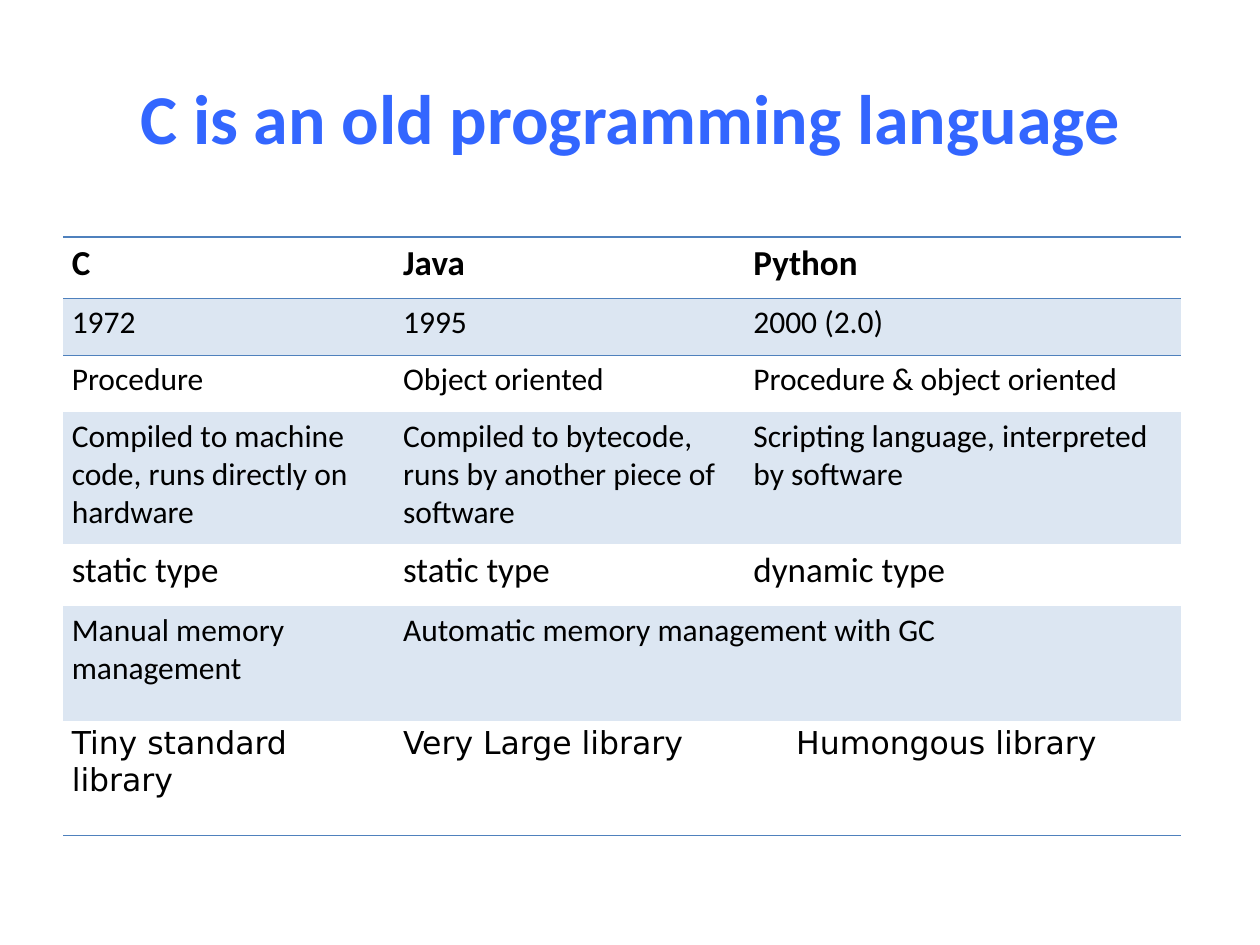
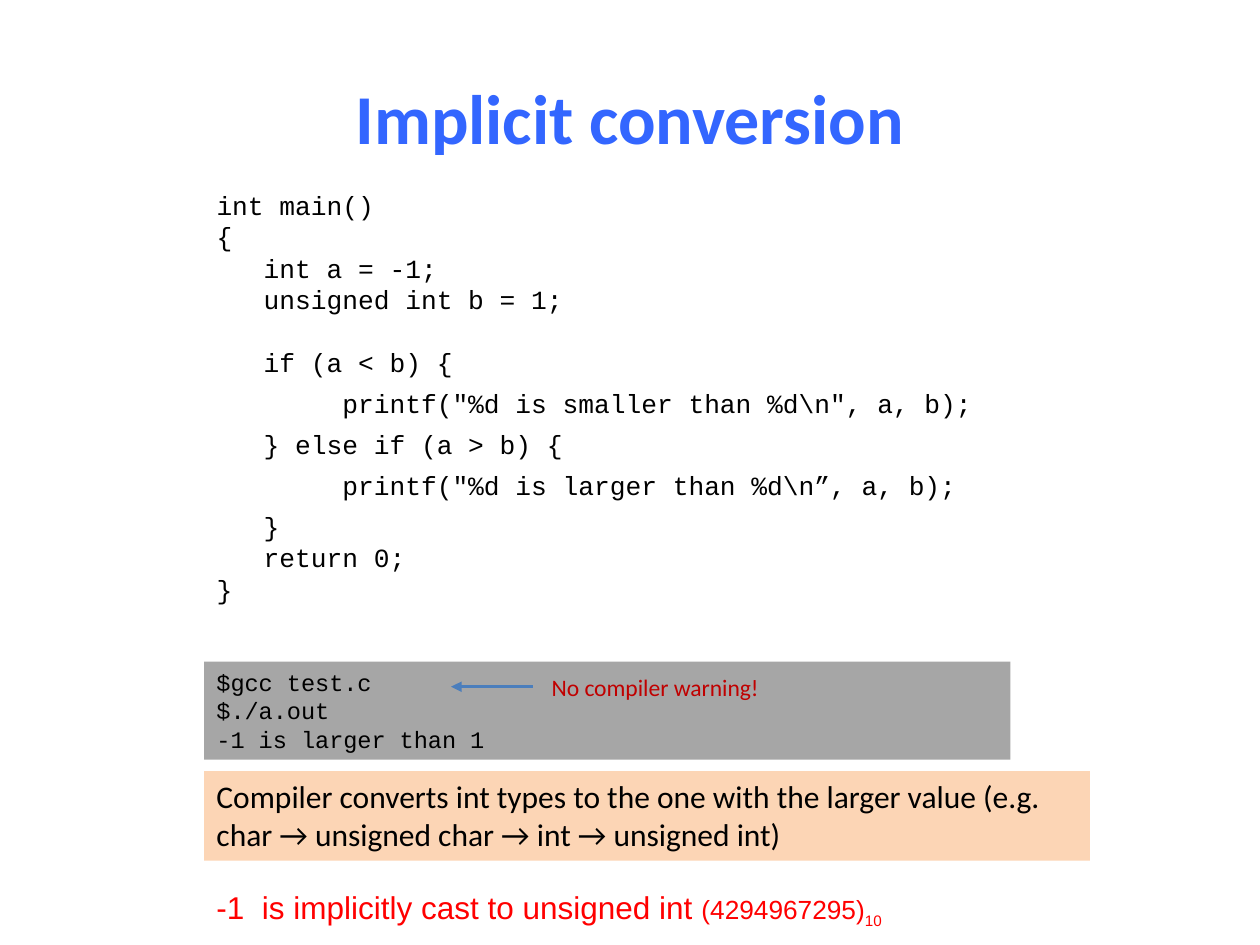
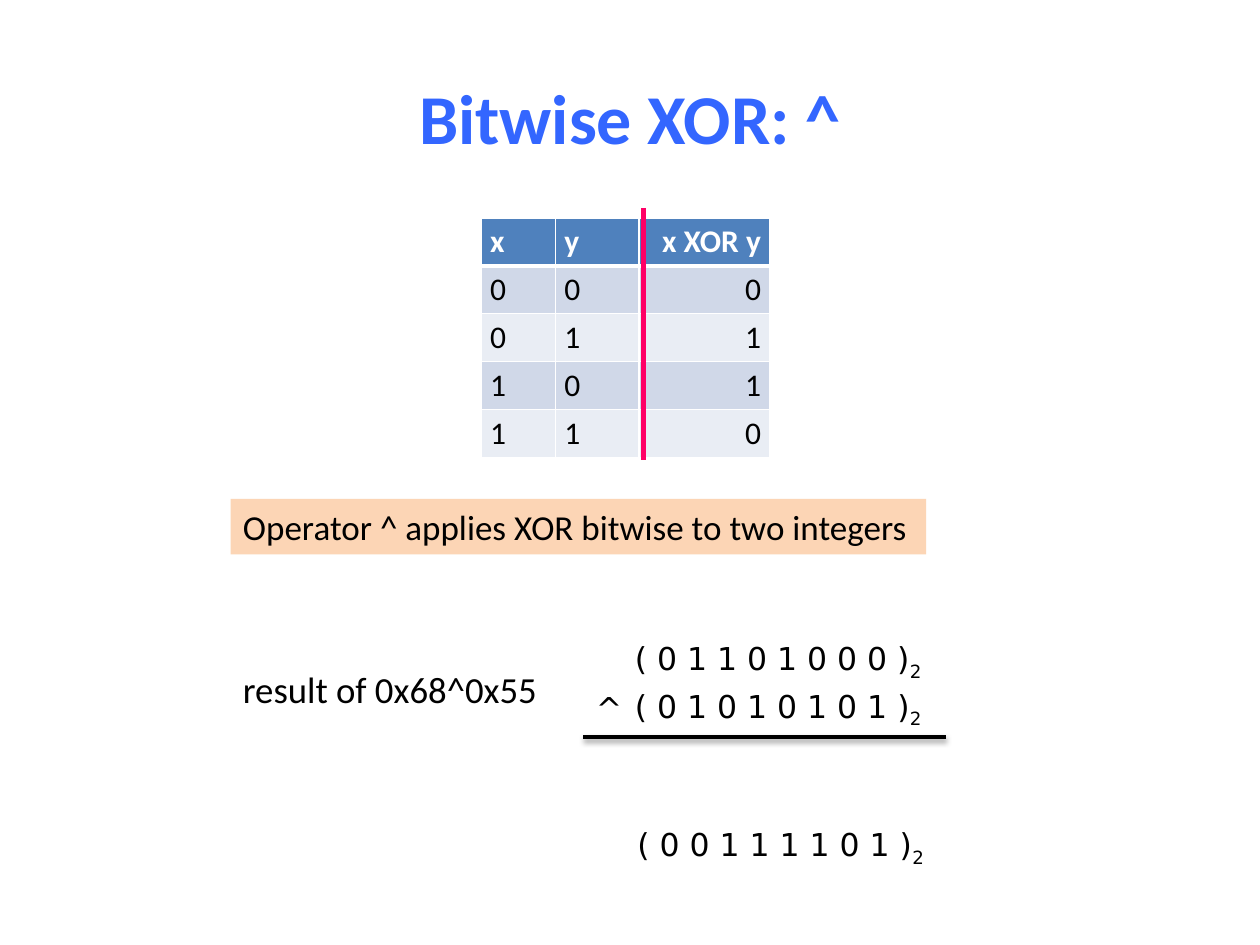
from lxml.etree import SubElement
from pptx import Presentation
from pptx.dml.color import RGBColor
from pptx.enum.shapes import MSO_CONNECTOR, MSO_SHAPE
from pptx.enum.text import MSO_ANCHOR, PP_ALIGN
from pptx.oxml.ns import qn
from pptx.util import Inches, Pt

COLORS = {
    "title": "3366FF", "text": "000000", "white": "FFFFFF", "blue": "4F81BD",
    "pale blue": "DCE6F2", "band dark": "D0D8E8", "band light": "E9EDF4",
    "peach": "FCD5B5", "gray": "A6A6A6", "arrow": "4B7EBC",
    "dark red": "C00000", "red": "FF0000", "pink": "FF0066",
}
PLAIN_TABLE_STYLE = "{2D5ABB26-0587-4C30-8999-92F81FD0307C}"
BODY = {"name": "Calibri", "size": 18, "bold": False, "color": "text"}
TITLE = BODY | {"size": 40, "bold": True, "color": "title"}
CODE = BODY | {"name": "Courier New", "size": 15}
TERMINAL = CODE | {"size": 13.5}
WIDE = BODY | {"name": "DejaVu Sans"}
SUBSCRIPT = {"baseline": -25000}


def write(frame, paragraphs, style):
    """Fill a frame; a paragraph is a string or a list of (text, changes) runs."""
    for index, content in enumerate(paragraphs):
        paragraph = frame.paragraphs[0] if index == 0 else frame.add_paragraph()
        paragraph.alignment = PP_ALIGN.LEFT
        if style["name"] == "Courier New":
            paragraph.line_spacing = Pt(style["size"] * 1.2)
        runs = [(content, {})] if isinstance(content, str) else content
        for text, changes in runs:
            run = paragraph.add_run()
            run.text = text
            for key, value in (style | changes).items():
                if key == "color":
                    run.font.color.rgb = RGBColor.from_string(COLORS[value])
                elif key == "baseline":
                    run._r.get_or_add_rPr().set("baseline", str(value))
                else:
                    setattr(run.font, key, Pt(value) if key == "size" else value)


def add_table(slide, left, top, widths, heights, rows):
    """Rows are (texts, style, fill, borders); None joins a cell to the one before."""
    frame = slide.shapes.add_table(
        len(rows), len(widths), Inches(left), Inches(top),
        Inches(sum(widths)), Inches(sum(heights)))
    table = frame.table
    table.horz_banding = False
    table._tbl.tblPr.find(qn("a:tableStyleId")).text = PLAIN_TABLE_STYLE
    for column, width in zip(table.columns, widths):
        column.width = Inches(width)
    for row_index, (texts, style, fill, borders) in enumerate(rows):
        table.rows[row_index].height = Inches(heights[row_index])
        for column_index, text in enumerate(texts):
            cell = table.cell(row_index, column_index)
            cell.margin_left = cell.margin_right = Inches(0.07)
            cell.margin_top = cell.margin_bottom = Inches(0.04)
            properties = cell._tc.get_or_add_tcPr()
            for side in "LRTB":
                if side in borders:
                    color, width = borders[side]
                    line = SubElement(properties, qn(f"a:ln{side}"), w=str(Pt(width)))
                    solid = SubElement(line, qn("a:solidFill"))
                    SubElement(solid, qn("a:srgbClr"), val=COLORS[color])
            if fill:
                cell.fill.solid()
                cell.fill.fore_color.rgb = RGBColor.from_string(COLORS[fill])
            else:
                cell.fill.background()
            if text is not None:
                write(cell.text_frame, [text], style)
                end = column_index
                while end + 1 < len(texts) and texts[end + 1] is None:
                    end += 1
                if end > column_index:
                    cell.merge(table.cell(row_index, end))
    return table


presentation = Presentation()
presentation.slide_width = Inches(10)
presentation.slide_height = Inches(7.5)

slides = []
for title in ["C is an old programming language", "Implicit conversion", "Bitwise XOR: ^"]:
    slide = presentation.slides.add_slide(presentation.slide_layouts[6])
    box = slide.shapes.add_textbox(Inches(0.5), Inches(0.3), Inches(9), Inches(1.25))
    box.text_frame.word_wrap = True
    box.text_frame.vertical_anchor = MSO_ANCHOR.MIDDLE
    write(box.text_frame, [title], TITLE)
    box.text_frame.paragraphs[0].alignment = PP_ALIGN.CENTER
    slides.append(slide)
language_slide, conversion_slide, xor_slide = slides

# Language comparison
rule = ("blue", 1)
heading = BODY | {"size": 20, "bold": True}
add_table(
    language_slide, 0.5, 1.88, [2.63, 2.78, 0.34, 3.12],
    [0.49, 0.45, 0.45, 1.05, 0.49, 0.91, 0.91],
    [
        (["C", "Java", "Python", None], heading, None, {"T": rule, "B": rule}),
        (["1972", "1995", "2000 (2.0)", None], BODY, "pale blue", {"T": rule}),
        (["Procedure", "Object oriented", "Procedure & object oriented", None],
         BODY, None, {}),
        (["Compiled to machine code, runs directly on hardware",
          "Compiled to bytecode, runs by another piece of software",
          "Scripting language, interpreted by software", None], BODY, "pale blue", {}),
        (["static type", "static type", "dynamic type", None],
         BODY | {"size": 20}, None, {}),
        (["Manual memory management", "Automatic memory management with GC", None, None],
         BODY, "pale blue", {}),
        (["Tiny standard library", "Very Large library", None, "Humongous library"],
         WIDE, None, {"B": rule}),
    ])

# XOR truth table
grid = {side: ("white", 1) for side in "LRTB"}
truth_rows = [(["x", "y", "x XOR y"], BODY | {"bold": True, "color": "white"},
               "blue", grid | {"B": ("white", 3)})]
for x in (0, 1):
    for y in (0, 1):
        borders = grid | {"T": ("white", 3)} if x == y == 0 else grid
        truth_rows.append(([str(x), str(y), str(x ^ y)], BODY,
                           "band light" if y else "band dark", borders))
truth_table = add_table(xor_slide, 3.82, 1.73, [0.59, 0.66, 1.04],
                        [0.38] * len(truth_rows), truth_rows)
for row in truth_table.rows:
    row.cells[2].text_frame.paragraphs[0].alignment = PP_ALIGN.RIGHT

# Text boxes: slide, (left, top, width, height), fill, wrap, style, paragraphs
program = [
    "int main()",
    "{",
    "   int a = -1;",
    "   unsigned int b = 1;",
    "   if (a < b) {",
    '        printf("%d is smaller than %d\\n", a, b);',
    "   } else if (a > b) {",
    '        printf("%d is larger than %d\\n”, a, b);',
    "   }",
    "   return 0;",
    "}",
]
program_gaps = {4: 18, 5: 5.4, 6: 5.4, 7: 5.4, 8: 5.4}
boxes = [
    (conversion_slide, (1.62, 1.45, 6.49, 3.43), None, True, CODE, program),
    (conversion_slide, (1.62, 6.12, 7.03, 0.71), "peach", True, BODY,
     ["Compiler converts int types to the one with the larger value "
      "(e.g. char → unsigned char → int → unsigned int)"]),
    (conversion_slide, (1.62, 5.25, 6.4, 0.78), "gray", True, TERMINAL,
     ["$gcc test.c", "$./a.out", "-1 is larger than 1"]),
    (conversion_slide, (4.28, 5.29, 1.87, 0.33), None, False,
     BODY | {"size": 13.5, "color": "dark red"}, ["No compiler warning!"]),
    (conversion_slide, (1.62, 7, 5.56, 0.4), None, False,
     BODY | {"name": "Arial", "color": "red"},
     [[("-1  is implicitly cast to unsigned int ", {}),
       ("(4294967295)", {"size": 15}), ("10", {"size": 15} | SUBSCRIPT)]]),
    (xor_slide, (1.83, 3.96, 5.52, 0.44), "peach", False, BODY | {"size": 20},
     ["Operator ^ applies XOR bitwise to two integers"]),
    (xor_slide, (1.83, 5.24, 2.56, 0.45), None, False, BODY | {"size": 21},
     ["result of 0x68^0x55"]),
    (xor_slide, (4.63, 5.42, 0.41, 0.4), None, False, WIDE, ["^"]),
]
for left, top, width, value in [(4.94, 5.02, 2.63, 0x68), (4.94, 5.4, 2.69, 0x55),
                                (4.96, 6.5, 2.69, 0x68 ^ 0x55)]:
    bits = " ".join(f"{value:08b}")
    boxes.append((xor_slide, (left, top, width, 0.4), None, False, WIDE,
                  [[(f"( {bits} )", {}), ("2", SUBSCRIPT)]]))

for slide, place, fill, wrap, style, paragraphs in boxes:
    place = [Inches(length) for length in place]
    if fill:
        shape = slide.shapes.add_shape(MSO_SHAPE.RECTANGLE, *place)
        shape.shadow.inherit = False
        shape.fill.solid()
        shape.fill.fore_color.rgb = RGBColor.from_string(COLORS[fill])
        shape.line.fill.background()
    else:
        shape = slide.shapes.add_textbox(*place)
    shape.text_frame.word_wrap = wrap
    shape.text_frame.vertical_anchor = MSO_ANCHOR.TOP
    write(shape.text_frame, paragraphs, style)
    if paragraphs is program:
        for index, gap in program_gaps.items():
            shape.text_frame.paragraphs[index].space_before = Pt(gap)

# Lines: slide, start, end, color, width, arrowhead, shadow
for slide, start, end, color, width, arrowhead, shadow in [
    (conversion_slide, (4.23, 5.45), (3.58, 5.45), "arrow", 2, True, False),
    (xor_slide, (4.63, 5.85), (7.51, 5.85), "text", 2, False, True),
    (xor_slide, (5.11, 1.65), (5.11, 3.65), "pink", 3, False, False),
]:
    connector = slide.shapes.add_connector(
        MSO_CONNECTOR.STRAIGHT, *[Inches(length) for length in start + end])
    connector.line.color.rgb = RGBColor.from_string(COLORS[color])
    connector.line.width = Pt(width)
    if arrowhead:
        SubElement(connector.line._get_or_add_ln(), qn("a:tailEnd"), type="triangle")
    effects = SubElement(connector._element.spPr, qn("a:effectLst"))
    if shadow:
        outer = SubElement(effects, qn("a:outerShdw"), blurRad=str(Pt(3.1)),
                           dist=str(Pt(1.6)), dir="5400000", rotWithShape="0")
        shade = SubElement(outer, qn("a:srgbClr"), val=COLORS["text"])
        SubElement(shade, qn("a:alpha"), val="38000")

presentation.save("out.pptx")
